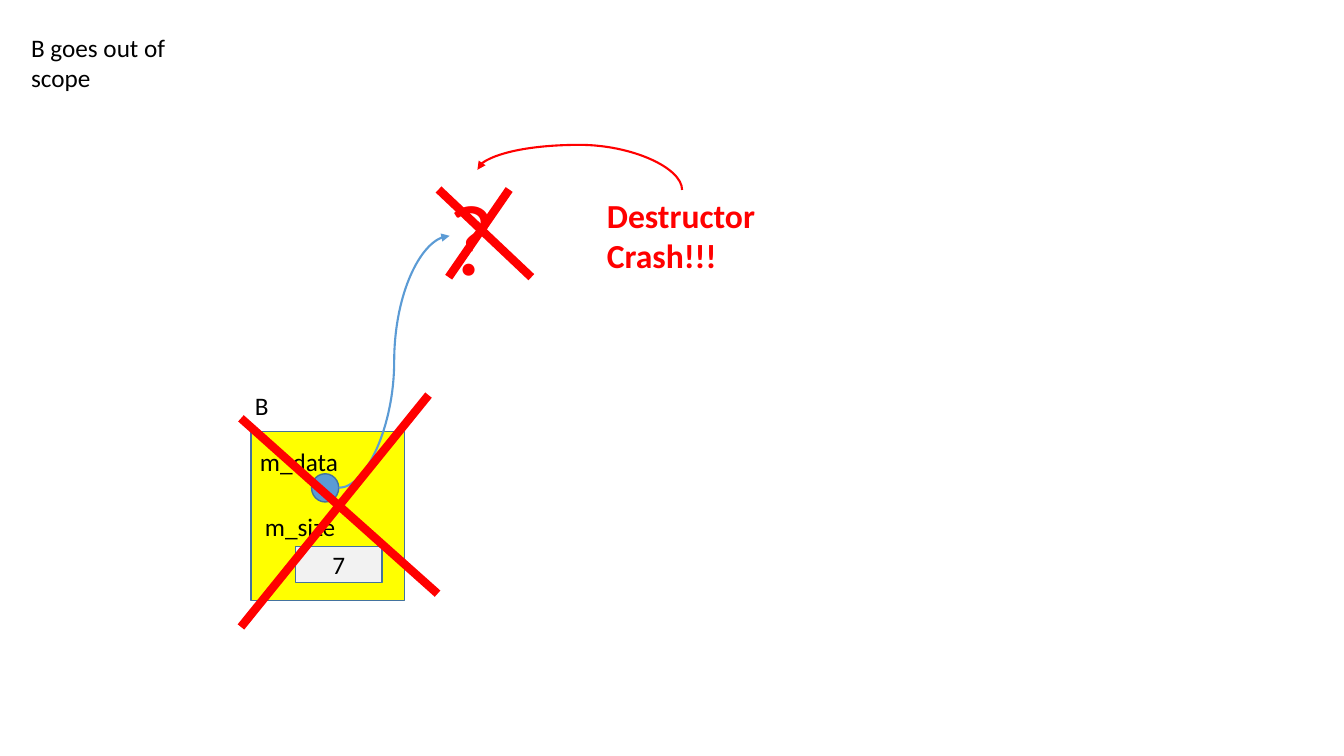
from lxml import etree
from pptx import Presentation
from pptx import util as u
from pptx.dml.color import RGBColor
from pptx.enum import shapes, text
from pptx.oxml.ns import qn

BLACK = RGBColor(0x00, 0x00, 0x00)
RED = RGBColor(0xFF, 0x00, 0x00)
YELLOW = RGBColor(0xFF, 0xFF, 0x00)
BLUE = RGBColor(0x5B, 0x9B, 0xD5)
OUTLINE = RGBColor(0x43, 0x73, 0x9E)
GRAY = RGBColor(0xF2, 0xF2, 0xF2)

presentation = Presentation()
presentation.slide_width = u.Inches(13.33)
presentation.slide_height = u.Inches(7.5)
slide = presentation.slides.add_slide(presentation.slide_layouts[6])


def write(shape, words, size=18, color=BLACK, bold=False):
    shape.text_frame.word_wrap = True
    shape.text_frame.text = words
    paragraph = shape.text_frame.paragraphs[0]
    paragraph.font.name = "Calibri"
    paragraph.font.size = u.Pt(size)
    paragraph.font.color.rgb = color
    paragraph.font.bold = bold
    return paragraph


def connect(kind, ends, color, width):
    connector = slide.shapes.add_connector(kind, *map(u.Inches, ends))
    connector.line.color.rgb = color
    connector.line.width = u.Pt(width)
    etree.SubElement(connector._element.spPr, qn("a:effectLst"))
    return connector


RECTANGLE = shapes.MSO_SHAPE.RECTANGLE
boxes = [
    (RECTANGLE, (2.49, 4.28, 1.52, 1.68), YELLOW, ""),
    (shapes.MSO_SHAPE.OVAL, (3.09, 4.7, 0.27, 0.28), BLUE, ""),
    (RECTANGLE, (2.93, 5.42, 0.86, 0.36), GRAY, "7"),
]
for kind, place, fill, words in boxes:
    shape = slide.shapes.add_shape(kind, *map(u.Inches, place))
    shape.shadow.inherit = False
    shape.fill.solid()
    shape.fill.fore_color.rgb = fill
    shape.line.color.rgb = OUTLINE
    shape.line.width = u.Pt(1)
    if words:
        shape.text_frame.vertical_anchor = text.MSO_ANCHOR.MIDDLE
        write(shape, words).alignment = text.PP_ALIGN.CENTER

labels = [
    ("m_data", (2.48, 4.38, 1.06, 0.4), 18, BLACK, False),
    ("m_size", (2.53, 5.02, 1, 0.4), 18, BLACK, False),
    ("B", (2.43, 3.82, 0.51, 0.4), 18, BLACK, False),
    ("?", (4.35, 1.68, 0.76, 1.31), 72, RED, False),
    ("B goes out of scope", (0.21, 0.27, 1.94, 0.71), 18, BLACK, False),
    ("Destructor\vCrash!!!", (5.92, 1.88, 1.68, 0.91), 24, RED, True),
]
for words, place, size, color, bold in labels:
    write(slide.shapes.add_textbox(*map(u.Inches, place)), words, size, color, bold)

curves = [
    ((3.36, 4.84, 4.46, 2.34), BLUE, 0, 0.5),
    ((5.65, 2.8, 5.85, 0.77), RED, 270, 2.238),
]
for ends, color, rotation, bend in curves:
    curve = connect(shapes.MSO_CONNECTOR.CURVE, ends, color, 1.5)
    properties = curve._element.spPr
    properties.find(qn("a:xfrm")).set("rot", str(rotation * 60000))
    adjustments = properties.find(qn("a:prstGeom")).get_or_add_avLst()
    etree.SubElement(adjustments, qn("a:gd"), name="adj1", fmla=f"val {round(bend * 100000)}")
    etree.SubElement(properties.find(qn("a:ln")), qn("a:tailEnd"), type="triangle")

strokes = [
    (2.39, 4.15, 4.34, 5.89),
    (2.39, 6.22, 4.25, 3.92),
    (4.35, 1.88, 5.27, 2.75),
    (4.45, 2.75, 5.05, 1.88),
]
for ends in strokes:
    connect(shapes.MSO_CONNECTOR.STRAIGHT, ends, RED, 6)

presentation.save("out.pptx")
